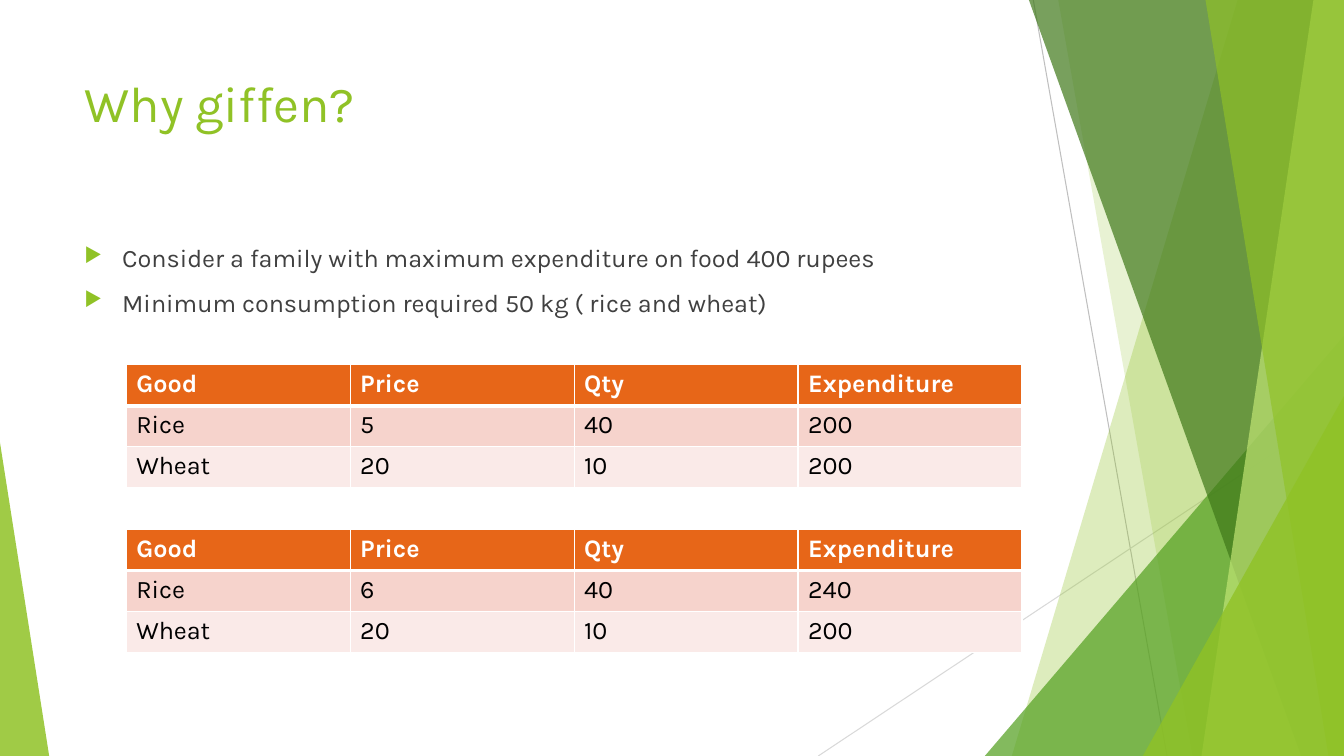
from lxml.etree import SubElement
from pptx import Presentation
from pptx.dml.color import RGBColor
from pptx.enum.shapes import MSO_CONNECTOR, MSO_SHAPE
from pptx.enum.text import MSO_ANCHOR, PP_ALIGN
from pptx.oxml import parse_xml
from pptx.oxml.ns import nsdecls, qn
from pptx.util import Cm, Pt

FONT = "Karla"
LIME = RGBColor(0x90, 0xC2, 0x26)
PALE_LIME = RGBColor(0xC0, 0xE4, 0x74)
GREEN = RGBColor(0x54, 0xA0, 0x21)
DARK_GREEN = RGBColor(0x3F, 0x78, 0x19)
GREY = RGBColor(0xBF, 0xBF, 0xBF)
LIGHT_GREY = RGBColor(0xD9, 0xD9, 0xD9)
TEXT = RGBColor(0x40, 0x40, 0x40)
WHITE = RGBColor(0xFF, 0xFF, 0xFF)
BLACK = RGBColor(0x00, 0x00, 0x00)
ORANGE = RGBColor(0xE7, 0x66, 0x18)
PINK = RGBColor(0xF6, 0xD3, 0xCC)
PALE_PINK = RGBColor(0xFA, 0xEA, 0xE8)

WIDTH, HEIGHT = 33.87, 19.05

deck = Presentation()
deck.slide_width, deck.slide_height = Cm(WIDTH), Cm(HEIGHT)
page = deck.slides.add_slide(deck.slide_layouts[5])


def paint(shape, color, opacity):
    shape.shadow.inherit = False
    shape.line.fill.background()
    shape.fill.solid()
    shape.fill.fore_color.rgb = color
    tint = shape.fill._xPr.find(qn("a:solidFill"))[0]
    SubElement(tint, qn("a:alpha")).set("val", str(opacity * 1000))


def set_font(paragraph, size, color, bold=False):
    paragraph.font.name = FONT
    paragraph.font.size = Pt(size)
    paragraph.font.color.rgb = color
    paragraph.font.bold = bold


for x1, y1, x2, y2, color in [
    (26.04, 0, 29.41, HEIGHT, GREY),
    (WIDTH, 10.24, 20.62, HEIGHT, LIGHT_GREY),
]:
    line = page.shapes.add_connector(
        MSO_CONNECTOR.STRAIGHT, Cm(x1), Cm(y1), Cm(x2), Cm(y2))
    line.line.color.rgb = color
    line.line.width = Pt(0.75)
    SubElement(line._element.spPr, qn("a:effectLst"))

facets = [
    ("band", 31.19, 25.5, LIME, 30),
    ("band", 26.67, 30.05, LIME, 20),
    ("triangle", 9.05, 10.59, GREEN, 72),
    ("band", 25.93, 32.79, DARK_GREEN, 70),
    ("band", 33.1, 30.28, PALE_LIME, 70),
    ("band", 30.38, 33.48, LIME, 65),
    ("triangle", 5.07, 9.07, LIME, 80),
    ("left triangle", 1.24, 7.9, LIME, 85),
]
for kind, first, second, color, opacity in facets:
    if kind == "band":
        outline = page.shapes.build_freeform(Cm(first), Cm(0))
        outline.add_line_segments(
            [(Cm(WIDTH), Cm(0)), (Cm(WIDTH), Cm(HEIGHT)), (Cm(second), Cm(HEIGHT))])
        facet = outline.convert_to_shape()
    else:
        on_left = kind == "left triangle"
        facet = page.shapes.add_shape(
            MSO_SHAPE.ISOSCELES_TRIANGLE,
            Cm(0 if on_left else WIDTH - first), Cm(HEIGHT - second),
            Cm(first), Cm(second))
        facet.adjustments[0] = 0 if on_left else 1
    paint(facet, color, opacity)

title = page.shapes.title
title.left, title.top, title.width, title.height = Cm(1.88), Cm(1.7), Cm(23.88), Cm(3.66)
title.text_frame.text = "Why giffen?"
title.text_frame.vertical_anchor = MSO_ANCHOR.TOP
title.text_frame.paragraphs[0].alignment = PP_ALIGN.LEFT
set_font(title.text_frame.paragraphs[0], 36, LIME)

body = page.shapes.add_textbox(Cm(1.88), Cm(5.99), Cm(23.88), Cm(2.6)).text_frame
body.word_wrap = True
body.text = (
    "Consider a family with maximum expenditure on food 400 rupees\n"
    "Minimum consumption required 50 kg ( rice and wheat)"
)
for index, para in enumerate(body.paragraphs):
    para.space_before = Pt(10 if index else 0)
    properties = para._p.get_or_add_pPr()
    properties.set("marL", str(Cm(0.95)))
    properties.set("indent", str(-Cm(0.95)))
    bullet_color = SubElement(properties, qn("a:buClr"))
    SubElement(bullet_color, qn("a:srgbClr")).set("val", str(LIME))
    SubElement(properties, qn("a:buSzPct")).set("val", "80000")
    SubElement(properties, qn("a:buChar")).set("char", "▶")
    set_font(para, 18, TEXT)

header = ["Good", "Price", "Qty", "Expenditure"]
budgets = [
    (9.19, [header, ["Rice", "5", "40", "200"], ["Wheat", "20", "10", "200"]]),
    (13.34, [header, ["Rice", "6", "40", "240"], ["Wheat", "20", "10", "200"]]),
]
row_styles = [
    (ORANGE, WHITE, 1, 3),
    (PINK, BLACK, 3, 1),
    (PALE_PINK, BLACK, 1, 1),
]
for top, rows in budgets:
    table = page.shapes.add_table(
        len(rows), len(header), Cm(3.18), Cm(top), Cm(22.58), Cm(3.1)).table
    for row, (values, style) in enumerate(zip(rows, row_styles)):
        fill, color, top_width, bottom_width = style
        for column, value in enumerate(values):
            cell = table.cell(row, column)
            cell.text = value
            set_font(cell.text_frame.paragraphs[0], 18, color, bold=row == 0)
            for side, width in zip("LRTB", (1, 1, top_width, bottom_width)):
                cell._tc.get_or_add_tcPr().append(parse_xml(
                    f'<a:ln{side} {nsdecls("a")} w="{Pt(width)}"><a:solidFill>'
                    f'<a:srgbClr val="{WHITE}"/></a:solidFill></a:ln{side}>'))
            cell.fill.solid()
            cell.fill.fore_color.rgb = fill

deck.save("out.pptx")
